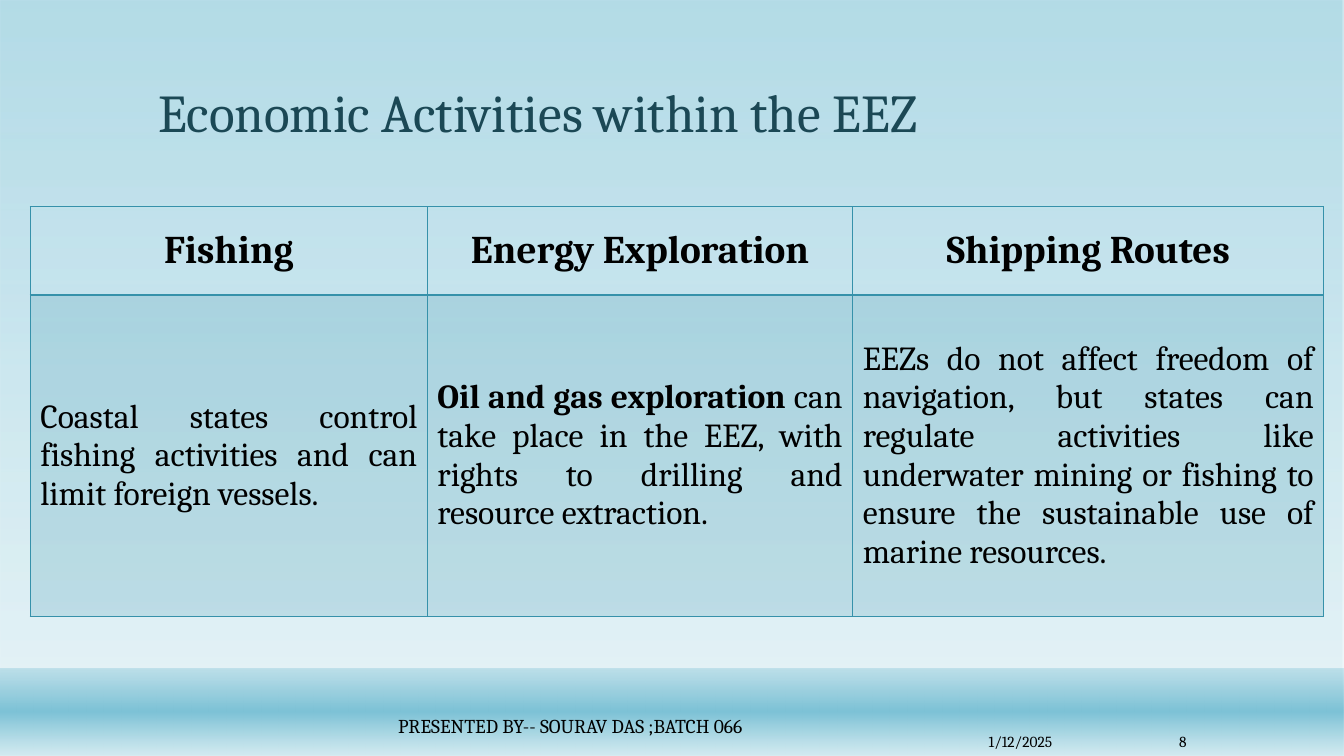
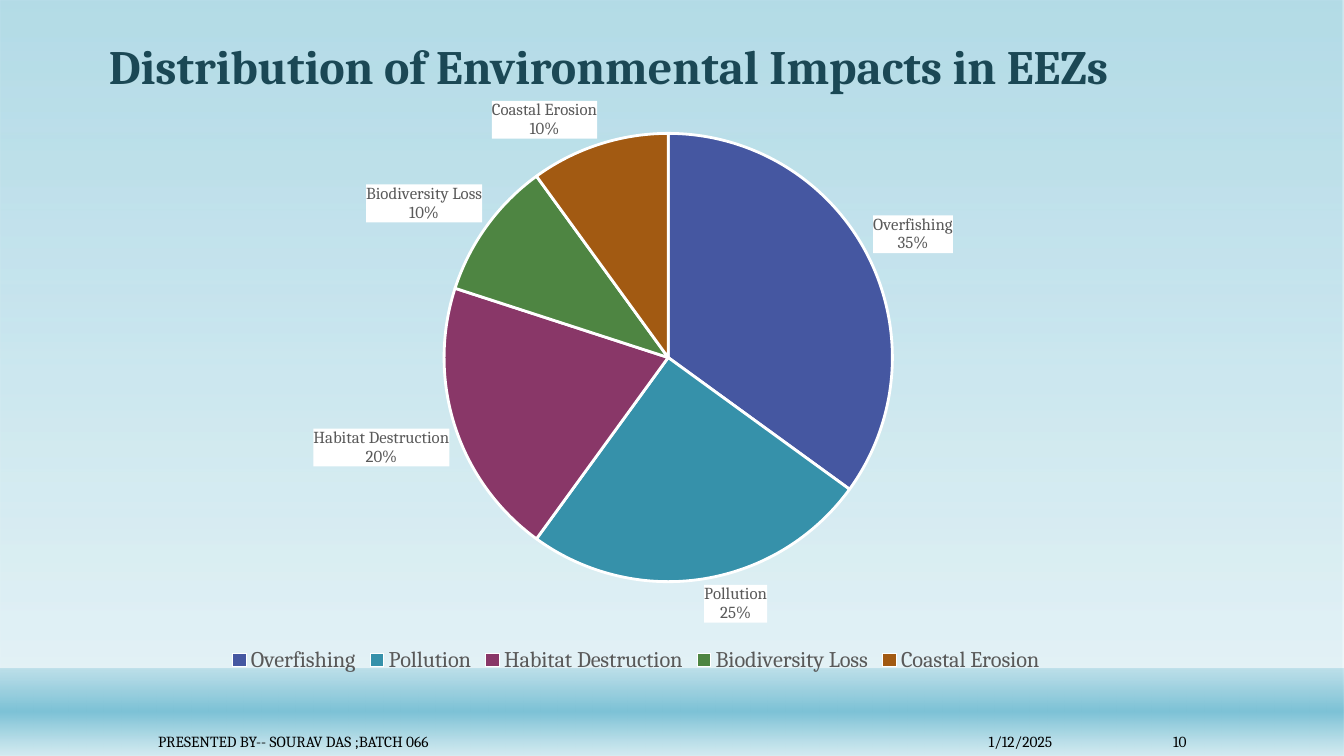
from lxml import etree
from pptx import Presentation
from pptx.chart.data import CategoryChartData
from pptx.dml.color import RGBColor
from pptx.enum.chart import XL_CHART_TYPE, XL_LABEL_POSITION, XL_LEGEND_POSITION
from pptx.enum.shapes import MSO_SHAPE
from pptx.enum.text import MSO_ANCHOR, MSO_AUTO_SIZE, PP_ALIGN
from pptx.oxml import parse_xml
from pptx.oxml.ns import qn
from pptx.util import Inches, Pt

LEFT, RIGHT, CENTER, JUSTIFY = PP_ALIGN.LEFT, PP_ALIGN.RIGHT, PP_ALIGN.CENTER, PP_ALIGN.JUSTIFY
MIDDLE, BOTTOM = MSO_ANCHOR.MIDDLE, MSO_ANCHOR.BOTTOM
FONT = "Cambria"
COLORS = {"title": "1B4855", "text": "000000", "label": "595959", "white": "FFFFFF",
          "teal": "3691AA", "water": "7DC2D6", "mist": "D4EBF1", "indigo": "4557A1",
          "plum": "893768", "green": "4E8542", "rust": "A25A12"}
DRAWING = 'xmlns:a="http://schemas.openxmlformats.org/drawingml/2006/main"'
CHART = 'xmlns:c="http://schemas.openxmlformats.org/drawingml/2006/chart"'

presentation = Presentation()
presentation.slide_width, presentation.slide_height = Inches(13.333), Inches(7.5)
# The grid: 100 columns by 100 rows
COLUMN = presentation.slide_width / 100
ROW = presentation.slide_height / 100


def box(left, top, width, height):
    return int(left * COLUMN), int(top * ROW), int(width * COLUMN), int(height * ROW)


def style(font, size, color="text", bold=False):
    font.name, font.size, font.bold = FONT, Pt(size), bold
    font.color.rgb = RGBColor.from_string(COLORS[color])


# Slides and their titles
layout = presentation.slide_layouts[5]
TITLES = [
    ("Economic Activities within the EEZ", (11.02, 3.87, 78, 15.87), 38, False),
    ("Distribution of Environmental Impacts in EEZs", (7.35, 3.07, 88.28, 10.13), 34.2, True),
]
for text, place, size, bold in TITLES:
    title = presentation.slides.add_slide(layout).shapes.title
    title.left, title.top, title.width, title.height = box(*place)
    frame = title.text_frame
    frame.text = text
    frame.word_wrap, frame.auto_size, frame.vertical_anchor = True, MSO_AUTO_SIZE.NONE, BOTTOM
    frame.paragraphs[0].alignment, frame.paragraphs[0].line_spacing = LEFT, 0.9
    style(frame.paragraphs[0].runs[0].font, size, "title", bold)
activities, impacts = presentation.slides

# Shared backdrop and water band, moved to the layout; stops are position, colour, opacity
BANDS = [
    ((0, 0, 100, 100), [(0, "water", 58), (88, "mist", 65)]),
    ((0, 88.4, 100, 11.6), [(1, "water", 38), (49, "water", 100), (100, "mist", 89)]),
]
for index, (place, stops) in enumerate(BANDS):
    band = activities.shapes.add_shape(MSO_SHAPE.RECTANGLE, *box(*place))
    band.shadow.inherit = False
    band.line.fill.background()
    stop_xml = "".join(
        f'<a:gs pos="{position * 1000}"><a:srgbClr val="{COLORS[color]}">'
        f'<a:alpha val="{opacity * 1000}"/></a:srgbClr></a:gs>'
        for position, color, opacity in stops)
    band.element.spPr.find(qn("a:prstGeom")).addnext(parse_xml(
        f'<a:gradFill {DRAWING} rotWithShape="1"><a:gsLst>{stop_xml}</a:gsLst>'
        '<a:lin ang="5400000" scaled="0"/></a:gradFill>'))
    layout.shapes.element.insert(2 + index, band.element)

# Footers
FOOTER = "PRESENTED BY-- SOURAV DAS ;BATCH 066"
FOOTER_PLACES = [
    (activities, (28.88, 93.47, 33.53, 4.93), 14, "8"),
    (impacts, (11.02, 96.27, 58.73, 3.47), 11, "10"),
]
for slide, place, size, number in FOOTER_PLACES:
    for text, spot, points, alignment in [
        (FOOTER, place, size, LEFT),
        ("1/12/2025", (72.83, 96.27, 7.88, 3.47), 11, LEFT),
        (number, (83.78, 96.27, 5.25, 3.47), 11, RIGHT),
    ]:
        frame = slide.shapes.add_textbox(*box(*spot)).text_frame
        frame.text = text
        frame.word_wrap, frame.vertical_anchor = True, MIDDLE
        frame.paragraphs[0].alignment = alignment
        style(frame.paragraphs[0].runs[0].font, points)

# Table of activities: each cell is a list of (text, bold) runs
CELLS = [
    [[("Fishing", True)], [("Energy Exploration", True)], [("Shipping Routes", True)]],
    [[("Coastal states control fishing activities and can limit foreign vessels.", False)],
     [("Oil and gas exploration", True),
      (" can take place in the EEZ, with rights to drilling and resource extraction.", False)],
     [("EEZs do not affect freedom of navigation, but states can regulate activities like "
       "underwater mining or fishing to ensure the sustainable use of marine resources.", False)]],
]
WIDTHS, HEIGHTS = [29.55, 31.65, 35.05], [11.73, 42.53]
table = activities.shapes.add_table(
    2, 3, *box(2.25, 27.33, sum(WIDTHS), sum(HEIGHTS))).table
table.first_row = table.horz_banding = False
for column, width in zip(table.columns, WIDTHS):
    column.width = int(width * COLUMN)
for row, height in zip(table.rows, HEIGHTS):
    row.height = int(height * ROW)
for row_index, row_cells in enumerate(CELLS):
    header = row_index == 0
    for column_index, runs in enumerate(row_cells):
        cell = table.cell(row_index, column_index)
        cell.vertical_anchor = MIDDLE
        paragraph = cell.text_frame.paragraphs[0]
        paragraph.alignment = CENTER if header else JUSTIFY
        for text, bold in runs:
            run = paragraph.add_run()
            run.text = text
            style(run.font, 28 if header else 24, "text", bold)
        properties = cell._tc.get_or_add_tcPr()
        if header:
            cell.fill.background()
        else:
            cell.fill.solid()
            cell.fill.fore_color.rgb = RGBColor.from_string(COLORS["teal"])
            tint = next(properties.iter(qn("a:srgbClr")))
            etree.SubElement(tint, qn("a:alpha")).set("val", "20000")
        thick_side = "lnB" if header else "lnT"
        for order, side in enumerate(["lnL", "lnR", "lnT", "lnB"]):
            weight = Pt(2 if side == thick_side else 1)
            properties.insert(order, parse_xml(
                f'<a:{side} {DRAWING} w="{weight}"><a:solidFill>'
                f'<a:srgbClr val="{COLORS["teal"]}"/></a:solidFill></a:{side}>'))

# Pie chart of impacts
SLICES = [("Overfishing", 35, "indigo"), ("Pollution", 25, "teal"),
          ("Habitat Destruction", 20, "plum"), ("Biodiversity Loss", 10, "green"),
          ("Coastal Erosion", 10, "rust")]
data = CategoryChartData()
data.categories = [name for name, value, color in SLICES]
data.add_series("Series 1", [value for name, value, color in SLICES])
chart = impacts.shapes.add_chart(
    XL_CHART_TYPE.PIE, *box(7.35, 10.53, 79.95, 79.07), data).chart
style(chart.font, 10)
chart.has_title = False
chart.has_legend = True
chart.legend.position = XL_LEGEND_POSITION.BOTTOM
chart.legend.include_in_layout = False
style(chart.legend.font, 16, "label")

plot = chart.plots[0]
plot.vary_by_categories = True
for index, (name, value, color) in enumerate(SLICES):
    slice_format = plot.series[0].points[index].format
    slice_format.fill.solid()
    slice_format.fill.fore_color.rgb = RGBColor.from_string(COLORS[color])
    slice_format.line.color.rgb = RGBColor.from_string(COLORS["white"])
    slice_format.line.width = Pt(2)

labels = plot.series[0].data_labels
style(labels.font, 12, "label")
labels.show_value = False
labels.show_category_name = labels.show_percentage = True
labels.number_format, labels.number_format_is_linked = "0%", False
labels.position = XL_LABEL_POSITION.OUTSIDE_END
label_xml = labels._element
label_xml.find(qn("c:txPr")).addprevious(parse_xml(
    f'<c:spPr {CHART} {DRAWING}><a:solidFill><a:srgbClr val="{COLORS["white"]}"/>'
    '</a:solidFill></c:spPr>'))
label_xml.find(qn("c:showBubbleSize")).addnext(
    parse_xml(f'<c:separator {CHART}>\n</c:separator>'))

# Clear chart background and fixed place of the pie, as shares of the chart
chart_xml = chart._chartSpace
chart_xml.find(qn("c:txPr")).addprevious(parse_xml(
    f'<c:spPr {CHART} {DRAWING}><a:noFill/><a:ln><a:noFill/></a:ln></c:spPr>'))
plot_area = chart_xml.chart.plotArea
for old_layout in plot_area.findall(qn("c:layout")):
    plot_area.remove(old_layout)
plot_area.insert(0, parse_xml(
    f'<c:layout {CHART}><c:manualLayout><c:layoutTarget val="inner"/>'
    '<c:xMode val="edge"/><c:yMode val="edge"/><c:x val="0.32"/><c:y val="0.09"/>'
    '<c:w val="0.42"/><c:h val="0.75"/></c:manualLayout></c:layout>'))

presentation.save("out.pptx")
